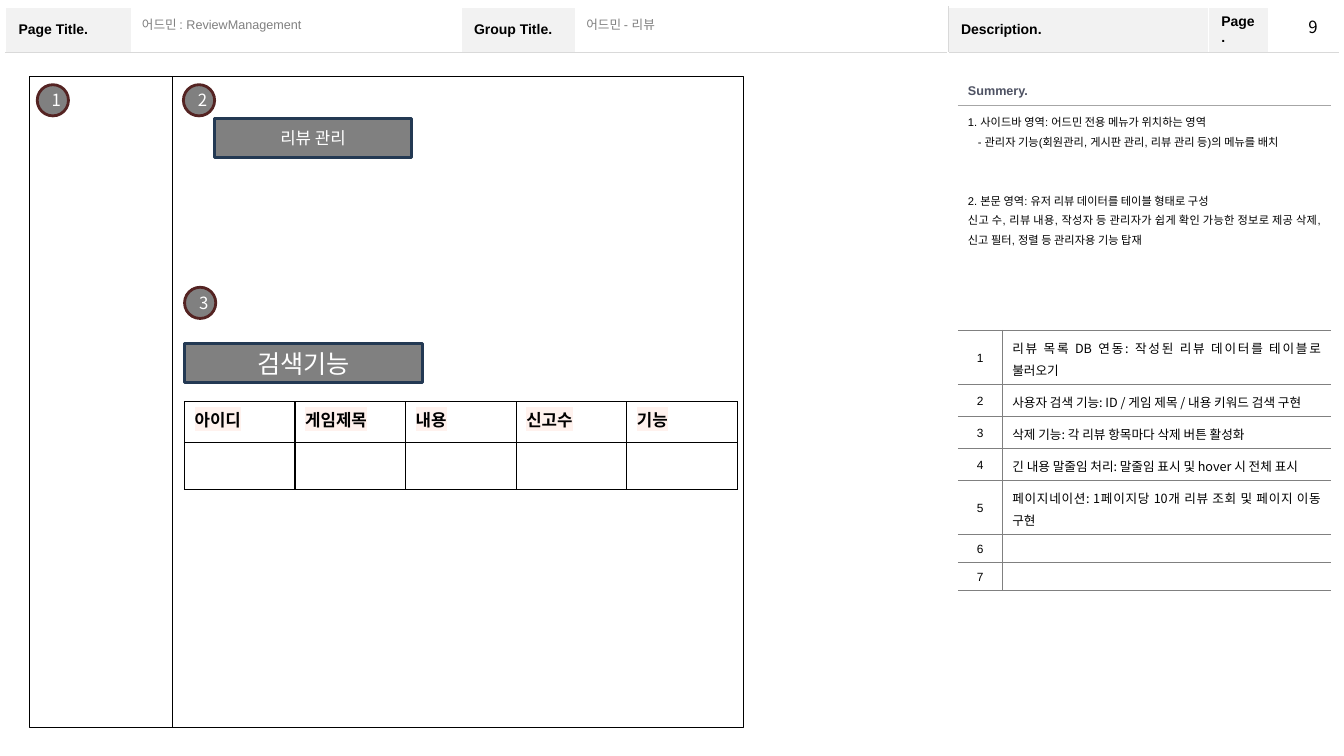
"""Build the review management wireframe slide."""
import lxml.etree
import pptx
import pptx.dml.color
import pptx.enum.shapes
import pptx.enum.text
import pptx.oxml.ns
import pptx.util

Pt = pptx.util.Pt
RGBColor = pptx.dml.color.RGBColor
Shapes = pptx.enum.shapes.MSO_SHAPE
Align = pptx.enum.text.PP_ALIGN
Anchor = pptx.enum.text.MSO_ANCHOR
qn = pptx.oxml.ns.qn

BLACK = RGBColor(0x00, 0x00, 0x00)
WHITE = RGBColor(0xFF, 0xFF, 0xFF)
GRAY = RGBColor(0x80, 0x80, 0x80)
RULE = RGBColor(0xA6, 0xA6, 0xA6)
PALE = RGBColor(0xD9, 0xD9, 0xD9)
LABEL = RGBColor(0xF2, 0xF2, 0xF2)
SLATE = RGBColor(0x4E, 0x52, 0x63)
NAVY = RGBColor(0x23, 0x39, 0x53)
MAROON = RGBColor(0x54, 0x23, 0x22)
PEACH = RGBColor(0xFF, 0xF2, 0xEE)

ARIAL = "Arial"
KOREAN = "Noto Sans CJK KR"
NO_STYLE = "{2D5ABB26-0587-4C30-8999-92F81FD0307C}"

HEADINGS = ["Page Title.", "", "Group Title.", "", "Description.", "Page.", ""]
REVIEW_COLUMNS = ["아이디", "게임제목", "내용", "신고수", "기능"]
SUMMARY = [
    ("1. 사이드바 영역: 어드민 전용 메뉴가 위치하는 영역", 0, 0),
    ("- 관리자 기능(회원관리, 게시판 관리, 리뷰 관리 등)의 메뉴를 배치", 0, 7),
    ("2. 본문 영역: 유저 리뷰 데이터를 테이블 형태로 구성", 28, 0),
    ("신고 수, 리뷰 내용, 작성자 등 관리자가 쉽게 확인 가능한 정보로 제공 "
     "삭제, 신고 필터, 정렬 등 관리자용 기능 탑재", 0, 0),
]
FEATURES = [
    ("리뷰 목록 DB 연동: 작성된 리뷰 데이터를 테이블로 불러오기", 38.9),
    ("사용자 검색 기능: ID / 게임 제목 / 내용 키워드 검색 구현", 22.9),
    ("삭제 기능: 각 리뷰 항목마다 삭제 버튼 활성화", 22.9),
    ("긴 내용 말줄임 처리: 말줄임 표시 및 hover 시 전체 표시", 22.9),
    ("페이지네이션: 1페이지당 10개 리뷰 조회 및 페이지 이동 구현", 38.6),
    ("", 20),
    ("", 19.3),
]


def add_element(parent, tag, **attributes):
    """Append a DrawingML element."""
    return lxml.etree.SubElement(parent, qn(tag), **attributes)


def write(paragraph, text, size=12, font=KOREAN, color=BLACK, bold=False, align=None,
          spacing=None, before=0, indent=0, highlight=None):
    """Put formatted text in a paragraph."""
    paragraph.alignment = align
    if spacing:
        paragraph.line_spacing = spacing
    if before:
        paragraph.space_before = Pt(before)
    if indent:
        paragraph._p.get_or_add_pPr().set("marL", str(Pt(indent)))
    if not text:
        add_element(paragraph._p, "a:endParaRPr", sz=str(int(size * 100)))
        return
    run = paragraph.add_run()
    run.text = text
    run.font.size = Pt(size)
    run.font.bold = bold
    run.font.color.rgb = color
    properties = run._r.get_or_add_rPr()
    if highlight:
        add_element(add_element(properties, "a:highlight"), "a:srgbClr", val=str(highlight))
    run.font.name = font
    add_element(properties, "a:ea", typeface=KOREAN)


def add_box(slide, kind, left, top, width, height, line, fill=None, weight=1, text="", size=12):
    """Add an outlined shape with optional fill and centred text."""
    shape = slide.shapes.add_shape(kind, Pt(left), Pt(top), Pt(width), Pt(height))
    shape.shadow.inherit = False
    shape.line.color.rgb = line
    shape.line.width = Pt(weight)
    if fill is None:
        shape.fill.background()
    else:
        shape.fill.solid()
        shape.fill.fore_color.rgb = fill
    if text:
        shape.text_frame.vertical_anchor = Anchor.MIDDLE
        write(shape.text_frame.paragraphs[0], text, size=size, color=WHITE, align=Align.CENTER)


def add_label(slide, left, top, width, height, text, wrap=True, anchor=Anchor.MIDDLE, **style):
    """Add a text box with one line of text."""
    frame = slide.shapes.add_textbox(Pt(left), Pt(top), Pt(width), Pt(height)).text_frame
    frame.word_wrap = wrap
    frame.vertical_anchor = anchor
    write(frame.paragraphs[0], text, **style)


def add_grid(slide, left, top, widths, heights):
    """Add an unstyled table and return it."""
    frame = slide.shapes.add_table(len(heights), len(widths), Pt(left), Pt(top),
                                   Pt(sum(widths)), Pt(sum(heights)))
    table = frame.table
    table.first_row = table.horz_banding = False
    table._tbl.tblPr.find(qn("a:tableStyleId")).text = NO_STYLE
    for column, width in zip(table.columns, widths):
        column.width = Pt(width)
    for row, height in zip(table.rows, heights):
        row.height = Pt(height)
    return table


def style_cell(cell, fill=None, **borders):
    """Set the borders (L, R, T, B as colour and width) and the fill of a cell."""
    properties = cell._tc.get_or_add_tcPr()
    for side in "LRTB":
        if side in borders:
            color, weight = borders[side]
            line = add_element(properties, f"a:ln{side}", w=str(Pt(weight)))
            add_element(add_element(line, "a:solidFill"), "a:srgbClr", val=str(color))
    if fill is None:
        cell.fill.background()
    else:
        cell.fill.solid()
        cell.fill.fore_color.rgb = fill


def add_page_frame(slide):
    """Add the header strip and the two page areas below it."""
    table = add_grid(slide, 3.9, 5, [90.4, 235, 82.1, 265.7, 186, 43.2, 50], [31.7, 480])
    white, pale = (WHITE, 1), (PALE, 0.25)
    for row in range(2):
        for column in range(len(HEADINGS)):
            cell = table.cell(row, column)
            heading = HEADINGS[column] if row == 0 else ""
            style_cell(cell, LABEL if heading else None,
                       L=pale if column == 4 else white, R=pale if column == 3 else white,
                       T=pale if row else white, B=white if row else pale)
            cell.vertical_anchor = Anchor.MIDDLE
            cell.margin_left = cell.margin_right = Pt(9.4)
            cell.margin_top = cell.margin_bottom = Pt(5)
            write(cell.text_frame.paragraphs[0], heading, size=10, font=ARIAL, bold=True)
    table.cell(1, 0).merge(table.cell(1, 3))
    table.cell(1, 4).merge(table.cell(1, 6))


def add_review_table(slide):
    """Add the review list with its header row."""
    table = add_grid(slide, 131.8, 287, [79] * len(REVIEW_COLUMNS), [29.3, 33.6])
    edge = (BLACK, 1)
    for column, heading in enumerate(REVIEW_COLUMNS):
        for row, text in enumerate([heading, ""]):
            cell = table.cell(row, column)
            style_cell(cell, WHITE if row else None, L=edge, R=edge, T=edge, B=edge)
            write(cell.text_frame.paragraphs[0], text, bold=True, highlight=PEACH)


def add_description(slide):
    """Add the summary and the numbered feature list."""
    heights = [20.6, 160.4] + [height for _, height in FEATURES]
    table = add_grid(slide, 684.2, 54.7, [31.7, 234.7], heights)
    rule, gray = (RULE, 0.25), (GRAY, 0.25)
    for column in range(2):
        style_cell(table.cell(0, column), WHITE, B=rule)
        style_cell(table.cell(1, column), T=rule, B=gray)
    for row in range(2):
        table.cell(row, 0).merge(table.cell(row, 1))
    title, summary = table.cell(0, 0), table.cell(1, 0)
    title.vertical_anchor = Anchor.MIDDLE
    write(title.text_frame.paragraphs[0], "Summery.", size=9, font=ARIAL, color=SLATE, bold=True)
    frame = summary.text_frame
    for index, (text, before, indent) in enumerate(SUMMARY):
        paragraph = frame.add_paragraph() if index else frame.paragraphs[0]
        write(paragraph, text, size=8, font=ARIAL, align=Align.JUSTIFY, spacing=1.2,
              before=before, indent=indent)
    for number, (text, _) in enumerate(FEATURES, 1):
        marker, feature = table.cell(number + 1, 0), table.cell(number + 1, 1)
        style_cell(marker, R=gray, T=gray, B=gray)
        style_cell(feature, L=gray, T=gray, B=gray)
        marker.vertical_anchor = feature.vertical_anchor = Anchor.MIDDLE
        write(marker.text_frame.paragraphs[0], str(number), size=8.5, font=ARIAL,
              align=Align.CENTER, spacing=1.2)
        write(feature.text_frame.paragraphs[0], text, size=9 if text else 8,
              align=Align.JUSTIFY, spacing=1.2)


def main():
    """Build and save the slide."""
    presentation = pptx.Presentation()
    presentation.slide_width, presentation.slide_height = Pt(960), Pt(540)
    slide = presentation.slides.add_slide(presentation.slide_layouts[6])
    add_page_frame(slide)
    add_label(slide, 94.3, 8.6, 233.3, 17.3, "어드민 : ReviewManagement",
              size=9, font=ARIAL, color=GRAY)
    add_label(slide, 411.8, 8.6, 262.1, 17.3, "어드민 - 리뷰", size=9, font=ARIAL, color=GRAY)
    for left, width in [(123.1, 408.2), (20.9, 102.2)]:
        add_box(slide, Shapes.RECTANGLE, left, 54.7, width, 465.1, BLACK)
    for left, top, width, text, size in [(153.4, 84.4, 140.4, "리뷰 관리", 12),
                                         (131.8, 245.4, 170, "검색기능", 18)]:
        add_box(slide, Shapes.RECTANGLE, left, top, width, 28.1, NAVY, GRAY, 2, text, size)
    for number, (left, top) in enumerate([(26.6, 60.5), (131, 60.5), (131.8, 205.2)], 1):
        add_box(slide, Shapes.OVAL, left, top, 22.3, 22.3, MAROON, GRAY, 2, str(number))
    add_review_table(slide)
    add_description(slide)
    add_label(slide, 927.4, 8.6, 20.9, 21.6, "9", wrap=False, anchor=Anchor.TOP)
    presentation.save("out.pptx")


if __name__ == "__main__":
    main()
